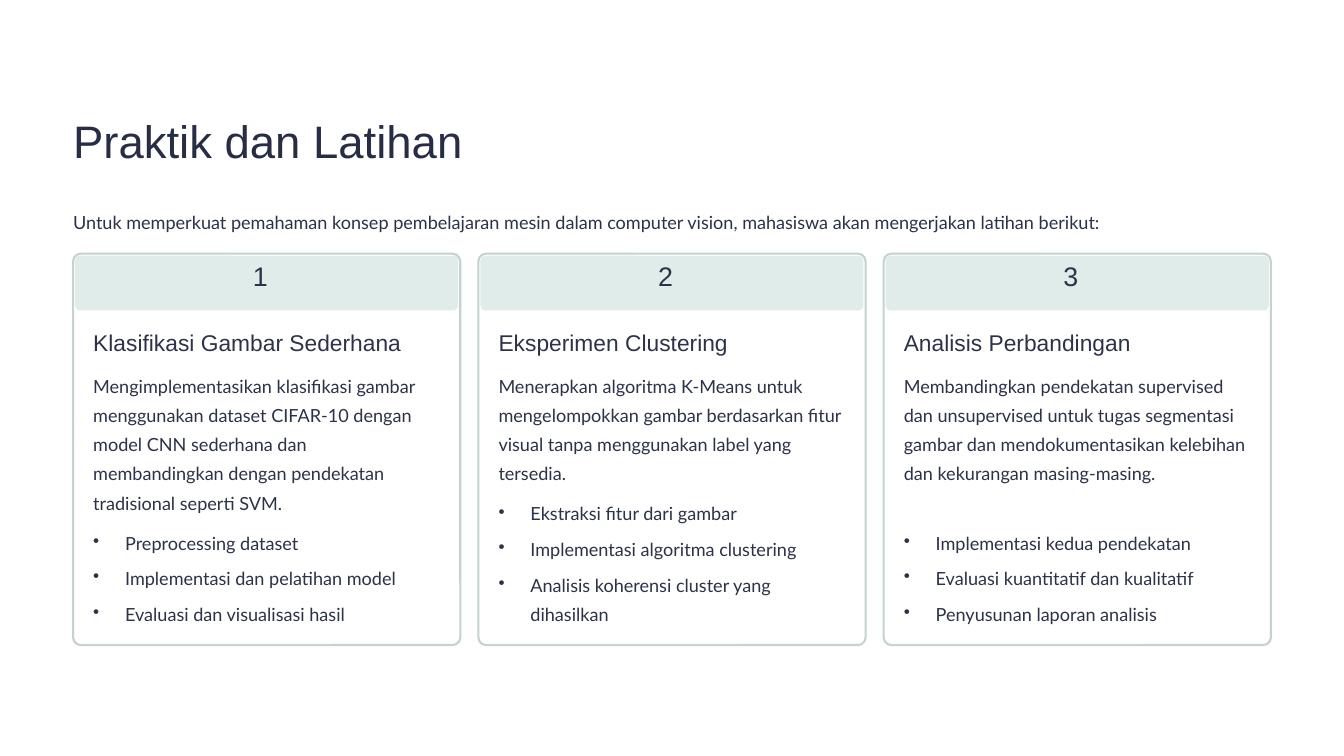
from lxml import etree
from pptx import Presentation
from pptx.dml.color import RGBColor
from pptx.enum import shapes, text
from pptx.oxml.ns import qn
from pptx.util import Inches, Pt

# Content
TITLE = "Praktik dan Latihan"
INTRO = ("Untuk memperkuat pemahaman konsep pembelajaran mesin dalam computer vision, "
         "mahasiswa akan mengerjakan latihan berikut:")
EXERCISES = [
    ("Klasifikasi Gambar Sederhana",
     "Mengimplementasikan klasifikasi gambar menggunakan dataset CIFAR-10 dengan model CNN "
     "sederhana dan membandingkan dengan pendekatan tradisional seperti SVM.",
     ["Preprocessing dataset", "Implementasi dan pelatihan model",
      "Evaluasi dan visualisasi hasil"]),
    ("Eksperimen Clustering",
     "Menerapkan algoritma K-Means untuk mengelompokkan gambar berdasarkan fitur visual tanpa "
     "menggunakan label yang tersedia.",
     ["Ekstraksi fitur dari gambar", "Implementasi algoritma clustering",
      "Analisis koherensi cluster yang dihasilkan"]),
    ("Analisis Perbandingan",
     "Membandingkan pendekatan supervised dan unsupervised untuk tugas segmentasi gambar dan "
     "mendokumentasikan kelebihan dan kekurangan masing-masing.",
     ["Implementasi kedua pendekatan", "Evaluasi kuantitatif dan kualitatif",
      "Penyusunan laporan analisis"]),
]

# Theme: colours, and font name, size, colour and line spacing per text role
THEME = {
    "card": "FFFFFF", "border": "C5D2CF", "band": "DFECE9",
    "title": ("Arial", 39, "272D45", 48.5),
    "number": ("Arial", 23, "2C3249", 23),
    "heading": ("Arial", 19.5, "2C3249", 24),
    "body": ("Lato", 15.5, "2C3249", 25),
}

# Layout in inches
LEFT, WIDTH = 0.87, 14.26
CARD_TOP, CARD_W, CARD_H = 3.02, 4.61, 4.66
PITCH = (WIDTH - CARD_W) / (len(EXERCISES) - 1)
PAD, INSET = 0.24, 0.025
TEXT_W = 4.13
BULLET_INDENT = 0.38


def write(shape, lines, role, bullets=False, anchor=text.MSO_ANCHOR.TOP):
    name, size, color, spacing = THEME[role]
    tf = shape.text_frame
    frame = dict(margin_left=0, margin_top=0, margin_right=0, margin_bottom=0,
                 word_wrap=True, auto_size=text.MSO_AUTO_SIZE.NONE, vertical_anchor=anchor)
    for key, value in frame.items():
        setattr(tf, key, value)
    for i, line in enumerate(lines):
        p = tf.add_paragraph() if i else tf.paragraphs[0]
        if bullets:
            pPr = p._p.get_or_add_pPr()
            pPr.set("marL", str(Inches(BULLET_INDENT)))
            pPr.set("indent", str(-Inches(BULLET_INDENT)))
            etree.SubElement(pPr, qn("a:buChar")).set("char", "•")
        p.alignment = text.PP_ALIGN.LEFT
        p.line_spacing = Pt(spacing)
        p.space_before = Pt(5.5 if i else 0)
        r = p.add_run()
        r.text = line
        for key, value in dict(name=name, size=Pt(size), bold=False).items():
            setattr(r.font, key, value)
        r.font.color.rgb = RGBColor.from_string(color)


def add_text(s, x, y, w, h, lines, role, **options):
    box = s.shapes.add_textbox(Inches(x), Inches(y), Inches(w), Inches(h))
    write(box, lines, role, **options)


def add_panel(s, x, y, w, h, radius, fill, border=None):
    sp = s.shapes.add_shape(shapes.MSO_SHAPE.ROUNDED_RECTANGLE,
                            Inches(x), Inches(y), Inches(w), Inches(h))
    sp.adjustments[0] = radius
    sp.shadow.inherit = False
    sp.fill.solid()
    sp.fill.fore_color.rgb = RGBColor.from_string(fill)
    if border:
        sp.line.color.rgb = RGBColor.from_string(border)
        sp.line.width = Pt(1.8)
    else:
        sp.line.fill.background()


def add_card(s, x, number, heading, description, tasks):
    add_panel(s, x, CARD_TOP, CARD_W, CARD_H, 0.02, THEME["card"], THEME["border"])
    add_panel(s, x + INSET, CARD_TOP + INSET, CARD_W - 2 * INSET, 0.65, 0.09, THEME["band"])
    add_text(s, x + 2.14, 3.16, 0.33, 0.41, [str(number)], "number")
    add_text(s, x + PAD, 3.91, TEXT_W, 0.34, [heading], "heading")
    add_text(s, x + PAD, 4.38, TEXT_W, 1.74, [description], "body")
    # Task lists share a bottom edge
    add_text(s, x + PAD, 5.9, TEXT_W, 1.54, tasks, "body",
             bullets=True, anchor=text.MSO_ANCHOR.BOTTOM)


def main():
    prs = Presentation()
    prs.slide_width, prs.slide_height = Inches(16), Inches(9)
    s = prs.slides.add_slide(prs.slide_layouts[5])

    # Title and introduction
    title = s.shapes.title
    place = dict(left=LEFT, top=1.32, width=WIDTH, height=0.68)
    for key, value in place.items():
        setattr(title, key, Inches(value))
    write(title, [TITLE], "title")
    add_text(s, LEFT, 2.43, WIDTH, 0.35, [INTRO], "body")

    # Exercise cards
    for i, exercise in enumerate(EXERCISES):
        add_card(s, LEFT + i * PITCH, i + 1, *exercise)
    prs.save("out.pptx")


if __name__ == "__main__":
    main()
